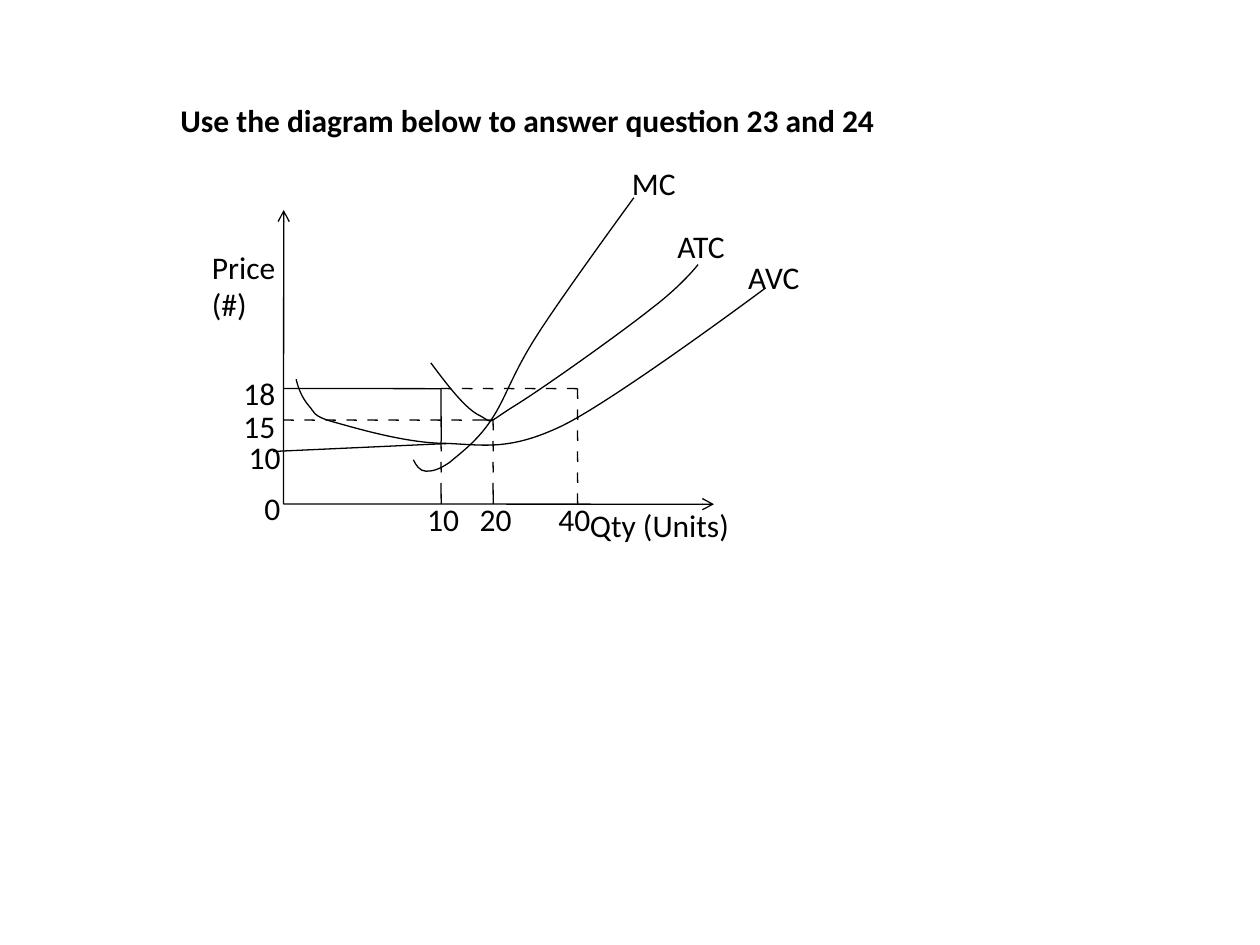
from lxml import etree
from pptx import Presentation
from pptx.dml.color import RGBColor
from pptx.enum.shapes import MSO_CONNECTOR
from pptx.enum.text import MSO_AUTO_SIZE
from pptx.oxml.ns import qn
from pptx.util import Pt

STRAIGHT = MSO_CONNECTOR.STRAIGHT
GROW_SHAPE = MSO_AUTO_SIZE.SHAPE_TO_FIT_TEXT
BLACK = "000000"
FONT = "Calibri"
FONT_SIZE = 18
LINE_WIDTH = 0.75
DASH = 6
SLANT = 0.12
LABEL_HEIGHT = 29
NUMBER_WIDTH = 33

# Positions of the axes and of the quantities and prices read on them
ORIGIN_X, ORIGIN_Y = 162, 288
QTY_10, QTY_20, QTY_40 = 252, 281.75, 330
PRICE_18, PRICE_15 = 222, 240

TITLE = ("Use the diagram below to answer question 23 and 24", 96, 54, 412)

# Text, left, top, width; a line break in the text starts a new paragraph
LABELS = [
    ("MC", 354, 90, 39.5),
    ("ATC", 380, 126, 42),
    ("AVC", 420.5, 144, 44),
    ("40", 312, 282, NUMBER_WIDTH),
    ("20", 267, 282, NUMBER_WIDTH),
    ("10", 237, 282, NUMBER_WIDTH),
    ("18", 132, 210, NUMBER_WIDTH),
    ("15", 132, 229, NUMBER_WIDTH),
    ("10", 135, 247, NUMBER_WIDTH),
    ("0", 144, 276, 24),
    ("Price\n(#)", 114, 138, 52),
    ("Qty (Units)", 330, 285.75, 95),
]

AXES = [
    (ORIGIN_X, ORIGIN_Y, ORIGIN_X, 120),
    (ORIGIN_X, ORIGIN_Y, 408, ORIGIN_Y),
]
SOLID_LINES = [
    (ORIGIN_X, PRICE_18, QTY_10, PRICE_18),
    (QTY_10, PRICE_18, QTY_10, 252),
    (156, 258, 255, 253.5),
]
DASHED_LINES = [
    (QTY_10, PRICE_18, QTY_40, PRICE_18),
    (ORIGIN_X, PRICE_15, QTY_20, PRICE_15),
    (QTY_40, PRICE_18, QTY_40, ORIGIN_Y),
    (QTY_20, PRICE_15, QTY_20, ORIGIN_Y),
    (QTY_10, 252, QTY_10, ORIGIN_Y),
]

# Start point, then two control points and an end point for each segment
CURVES = [
    [
        (246.2, 207.4),
        (256.3, 221), (266.4, 234), (274.3, 237.6),
        (282.2, 241.9), (277.2, 242.6), (293, 232.6),
        (309.6, 222.5), (355, 190.1), (372.2, 176.4),
        (390.2, 162.7), (398.9, 151.2), (398.9, 151.2),
    ],
    [
        (169.2, 216.7),
        (170.6, 222.5), (172.8, 227.5), (176.4, 231.8),
        (180, 235.4), (177.8, 237.6), (190.8, 241.2),
        (203.8, 244.8), (232.6, 253.4), (254.9, 253.4),
        (276.5, 254.2), (290.9, 257.8), (321.1, 243.4),
        (352.1, 228.2), (437, 164.9), (437, 164.9),
    ],
    [
        (236.2, 262.8),
        (237.6, 265.7), (239.8, 269.3), (243.4, 269.3),
        (247, 269.3), (250.6, 268.6), (257, 264.2),
        (262.8, 259.2), (272.9, 252), (280.8, 239.8),
        (288.7, 228.2), (292.3, 214.6), (306, 193),
        (319, 172.1), (362.2, 113), (362.2, 113),
    ],
]


def color(hex_string):
    """Turn a hex string into a colour."""
    return RGBColor.from_string(hex_string)


def style_line(line):
    """Give a line the common colour and width."""
    line.color.rgb = color(BLACK)
    line.width = Pt(LINE_WIDTH)


def add_line(slide, ends, arrow=False):
    """Draw a line whose box is never flat, with an arrowhead if asked."""
    x1, y1, x2, y2 = ends
    if x1 == x2:
        x2 += SLANT
    if y1 == y2:
        y2 += SLANT
    connector = slide.shapes.add_connector(
        STRAIGHT, Pt(x1), Pt(y1), Pt(x2), Pt(y2))
    style_line(connector.line)
    if arrow:
        outline = connector.line._get_or_add_ln()
        etree.SubElement(outline, qn("a:tailEnd"), type="arrow")
    etree.SubElement(connector._element.spPr, qn("a:effectLst"))


def add_dashed_line(slide, ends):
    """Draw dashes with equal gaps; the last one reaches the end."""
    x1, y1, x2, y2 = ends
    length = max(x2 - x1, y2 - y1)
    count = int((length + DASH) // (2 * DASH))
    step_x, step_y = (x2 - x1) / length, (y2 - y1) / length
    for index in range(count):
        start = 2 * DASH * index
        stop = length if index == count - 1 else start + DASH
        add_line(slide, (x1 + start * step_x, y1 + start * step_y,
                         x1 + stop * step_x, y1 + stop * step_y))


def add_curve(slide, points):
    """Draw a chain of cubic Bezier segments as one open outline."""
    vertices = [(Pt(x), Pt(y)) for x, y in points]
    builder = slide.shapes.build_freeform(*vertices[0])
    builder.add_line_segments(vertices[1:], close=False)
    shape = builder.convert_to_shape()
    shape.shadow.inherit = False
    shape.fill.background()
    style_line(shape.line)
    segments = list(shape._element.iter(qn("a:lnTo")))
    outline = segments[0].getparent()
    for first in range(0, len(segments), 3):
        bezier = etree.SubElement(outline, qn("a:cubicBezTo"))
        for segment in segments[first:first + 3]:
            bezier.append(segment[0])
            outline.remove(segment)


def add_label(slide, text, left, top, width, bold=False):
    """Add an unwrapped text box with one paragraph for each line."""
    lines = text.split("\n")
    box = slide.shapes.add_textbox(
        Pt(left), Pt(top), Pt(width), Pt(LABEL_HEIGHT + 22 * (len(lines) - 1)))
    frame = box.text_frame
    frame.word_wrap = False
    frame.auto_size = GROW_SHAPE
    for index, line in enumerate(lines):
        paragraph = frame.add_paragraph() if index else frame.paragraphs[0]
        run = paragraph.add_run()
        run.text = line
        run.font.name = FONT
        run.font.size = Pt(FONT_SIZE)
        run.font.bold = bold
        run.font.color.rgb = color(BLACK)


def build():
    """Build the cost curve slide and save it."""
    presentation = Presentation()
    presentation.slide_width, presentation.slide_height = Pt(720), Pt(540)
    slide = presentation.slides.add_slide(presentation.slide_layouts[6])
    for ends in AXES:
        add_line(slide, ends, arrow=True)
    for ends in SOLID_LINES:
        add_line(slide, ends)
    for ends in DASHED_LINES:
        add_dashed_line(slide, ends)
    for points in CURVES:
        add_curve(slide, points)
    for label in LABELS:
        add_label(slide, *label)
    add_label(slide, *TITLE, bold=True)
    presentation.save("out.pptx")


build()
